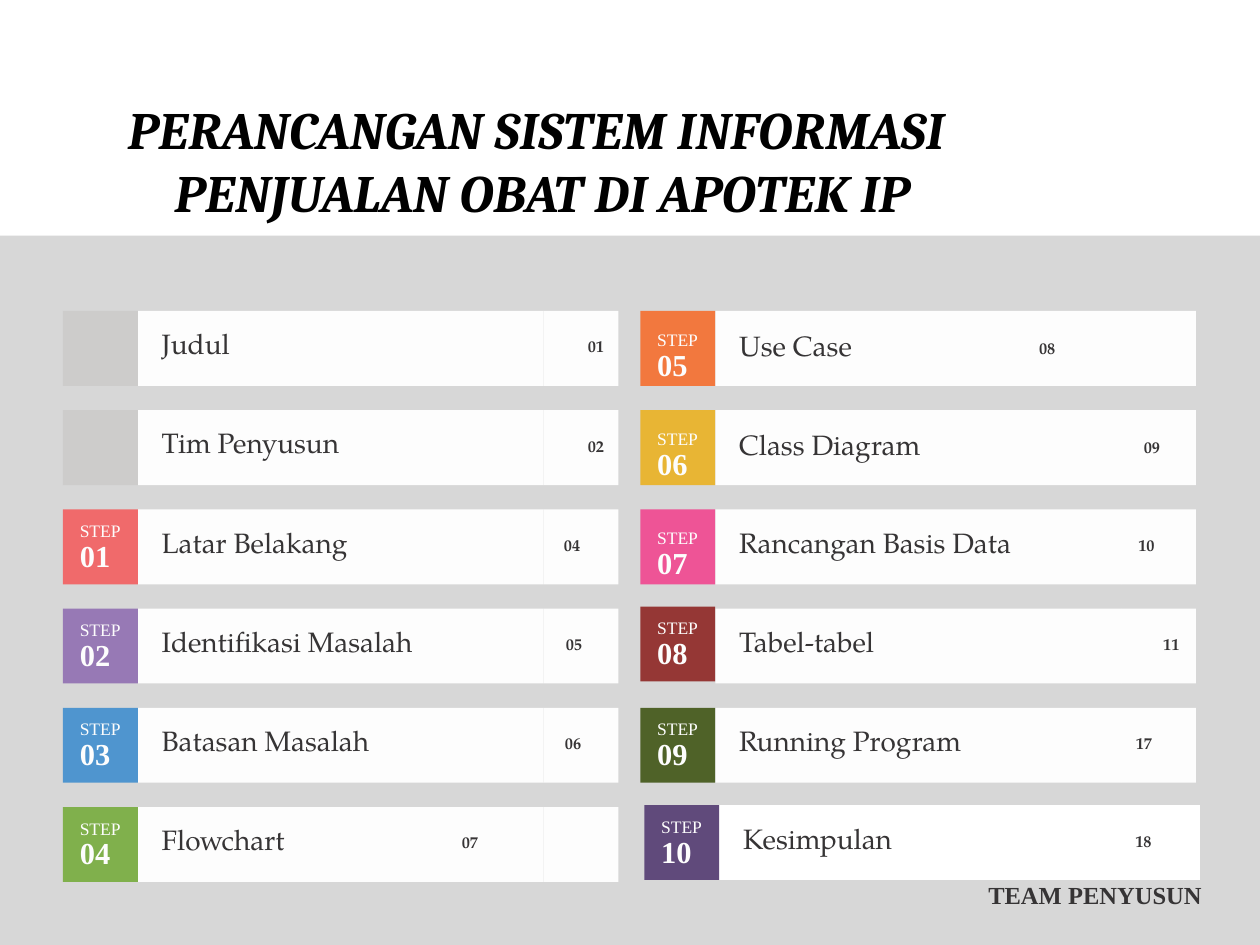
import pptx
import pptx.util
import pptx.dml.color
import pptx.enum.shapes
import pptx.enum.text
import lxml.etree

Cm, Pt = pptx.util.Cm, pptx.util.Pt
ALIGN = pptx.enum.text.PP_ALIGN

COLORS = {
    "title": "000000", "panel": "D7D7D7", "bar": "FDFDFD", "white": "FFFFFF",
    "text": "363435", "blank": "CDCCCB", "red": "F06A6B", "purple": "9779B5",
    "blue": "4F95CF", "green": "80B04C", "orange": "F2783E", "yellow": "E8B534",
    "pink": "EE5496", "maroon": "953735", "olive": "4F6228", "violet": "604A7B",
}
SERIF, BOOK, HEAD = "Times New Roman", "TeX Gyre Pagella", "Cambria"

SIDE = 1.51        # step square and end cap
BAR = 8.18         # bar between square and cap
PITCH = 2.0        # from one row to the next
INDENT = 0.48      # label inset from the square

# step, colour, label, page number, page position, square text drop,
# square shift, label shift (cm)
LEFT_ROWS = [
    ("", "blank", "Judul", "01", 9.07, 0, 0, 0),
    ("", "blank", "Tim Penyusun", "02", 9.07, 0, 0, 0),
    ("01", "red", "Latar Belakang", "04", 8.59, 0, 0, 0),
    ("02", "purple", "Identifikasi Masalah", "05", 8.63, 0, 0, 0),
    ("03", "blue", "Batasan Masalah", "06", 8.61, 0, 0, 0),
    ("04", "green", "Flowchart", "07", 6.53, 0, 0, 0),
]
RIGHT_ROWS = [
    ("05", "orange", "Use Case", "08", 6.53, 0.15, 0, 0.03),
    ("06", "yellow", "Class Diagram", "09", 8.64, 0.15, 0, 0.03),
    ("07", "pink", "Rancangan Basis Data", "10", 8.53, 0.15, 0, 0),
    ("08", "maroon", "Tabel-tabel", "11", 9.03, 0, -0.04, 0),
    ("09", "olive", "Running Program", "17", 8.48, 0, 0, 0),
]
LAST_ROW = ("10", "violet", "Kesimpulan", "18", 8.39, 0, 0, 0)


def rgb(name):
    return pptx.dml.color.RGBColor.from_string(COLORS[name])


def set_frame(sp, left=0, top=0):
    tf = sp.text_frame
    tf.word_wrap = True
    tf.margin_left, tf.margin_top = Cm(left), Cm(top)
    tf.margin_right = tf.margin_bottom = 0
    tf.vertical_anchor = pptx.enum.text.MSO_ANCHOR.TOP
    return tf


def add_rect(s, x, y, w, h, color):
    sp = s.shapes.add_shape(pptx.enum.shapes.MSO_SHAPE.RECTANGLE,
                            Cm(x), Cm(y), Cm(w), Cm(h))
    sp.shadow.inherit = False
    sp.fill.solid()
    sp.fill.fore_color.rgb = rgb(color)
    sp.line.fill.background()
    return sp


def add_run(p, text, size, font, color, bold=False, italic=False, raised=0):
    r = p.add_run()
    r.text = text
    r.font.size, r.font.name = Pt(size), font
    r.font.bold, r.font.italic = bold, italic
    r.font.color.rgb = rgb(color)
    if raised:
        r.font._element.set("baseline", str(raised * 1000))


def add_tab(p, x):
    pPr = p._p.get_or_add_pPr()
    ns = "{http://schemas.openxmlformats.org/drawingml/2006/main}"
    tabs = lxml.etree.SubElement(pPr, ns + "tabLst")
    lxml.etree.SubElement(tabs, ns + "tab", pos=str(Cm(x)), algn="l")


def add_title(s, x, y, w, h):
    tf = set_frame(s.shapes.add_textbox(Cm(x), Cm(y), Cm(w), Cm(h)))
    lines = ("PERANCANGAN SISTEM INFORMASI ", "PENJUALAN OBAT DI APOTEK IP")
    for i, line in enumerate(lines):
        p = tf.add_paragraph() if i else tf.paragraphs[0]
        p.alignment = ALIGN.CENTER
        add_run(p, line, 30, HEAD, "title", bold=True, italic=True)


def add_step(s, x, y, step, color, drop):
    sp = add_rect(s, x, y, SIDE, SIDE, color)
    if not step:
        return
    tf = set_frame(sp, 0.34, 0.24 + drop)
    p = tf.paragraphs[0]
    p.alignment, p.line_spacing = ALIGN.LEFT, 0.96
    add_run(p, "STEP", 10, SERIF, "bar")
    p = tf.add_paragraph()
    p.alignment, p.line_spacing, p.space_before = ALIGN.LEFT, Pt(20.1), Pt(1)
    add_run(p, step, 30, SERIF, "bar", bold=True, raised=1)


def add_label(sp, label, page, page_x):
    p = set_frame(sp, INDENT, 0.52).paragraphs[0]
    p.alignment, p.line_spacing = ALIGN.LEFT, Pt(13.8)
    add_tab(p, page_x - INDENT)
    add_run(p, label + "\t", 16, BOOK, "text")
    add_run(p, page, 16, BOOK, "text", bold=True, raised=6)


def add_row(s, x, y, row, whole=False):
    step, color, label, page, page_x, drop, shift, label_shift = row
    bar_x = x + SIDE
    if whole:
        sp = add_rect(s, bar_x, y, BAR + SIDE, SIDE, "white")
    else:
        add_rect(s, bar_x, y, BAR, SIDE, "bar")
        add_rect(s, bar_x + BAR, y, SIDE, SIDE, "bar")
        sp = s.shapes.add_textbox(Cm(bar_x), Cm(y + label_shift),
                                  Cm(BAR + SIDE), Cm(SIDE))
    add_label(sp, label, page, page_x)
    add_step(s, x, y + shift, step, color, drop)


def add_column(s, x, y, rows):
    for i, row in enumerate(rows):
        add_row(s, x, y + i * PITCH, row)


def add_footer(s, x, y, w, h):
    tf = set_frame(s.shapes.add_textbox(Cm(x), Cm(y), Cm(w), Cm(h)))
    p = tf.paragraphs[0]
    p.alignment, p.line_spacing = ALIGN.RIGHT, 0.96
    add_run(p, "TEAM PENYUSUN", 14, SERIF, "text", bold=True)


def main():
    prs = pptx.Presentation()
    prs.slide_width, prs.slide_height = Cm(25.4), Cm(19.05)
    s = prs.slides.add_slide(prs.slide_layouts[6])

    # Heading and grey panel
    add_rect(s, 0, 4.75, 25.4, 14.3, "panel")
    add_title(s, 1.24, 1.96, 19.38, 1.12)

    # Two columns of steps; the last row sits slightly off the grid
    add_column(s, 1.27, 6.27, LEFT_ROWS)
    add_column(s, 12.91, 6.27, RIGHT_ROWS)
    add_row(s, 12.99, 16.23, LAST_ROW, whole=True)

    # Footer
    add_footer(s, 16.69, 17.78, 7.54, 0.76)
    prs.save("out.pptx")


if __name__ == "__main__":
    main()
